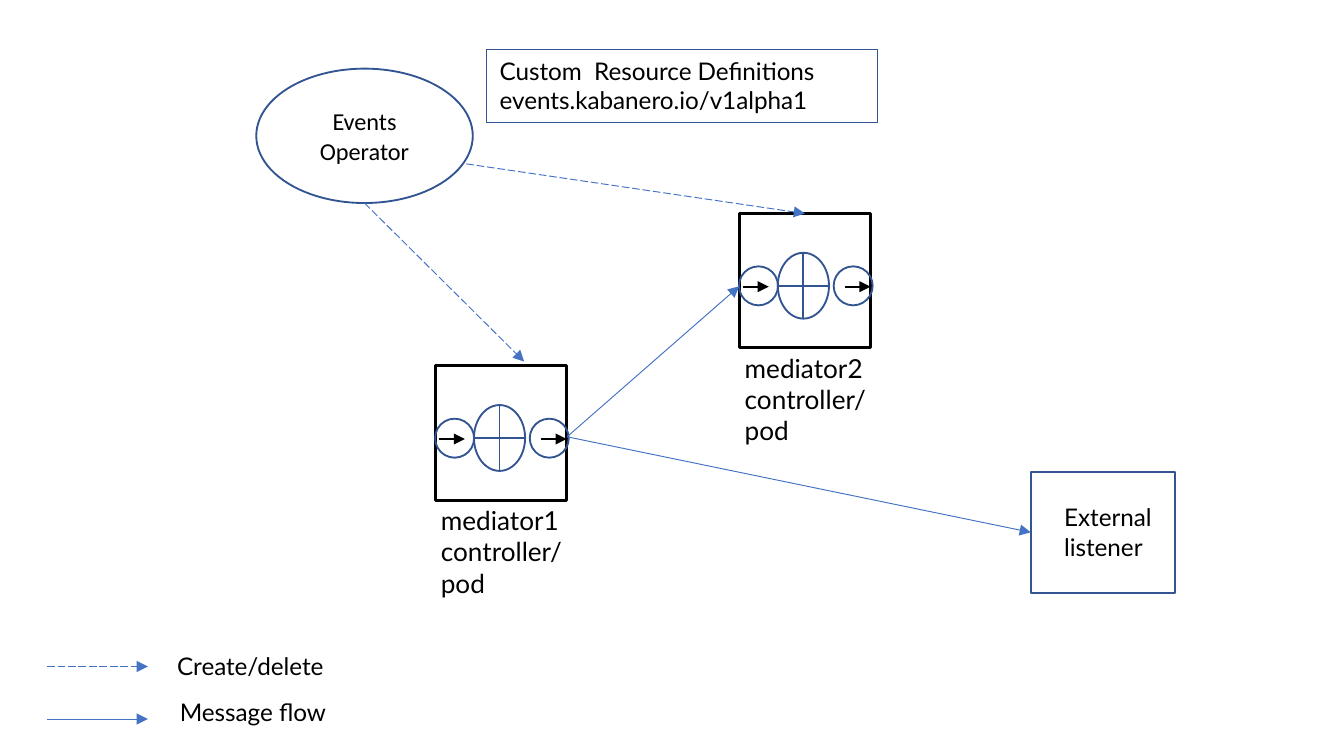
from pptx import Presentation
from pptx.dml.color import RGBColor
from pptx.enum.dml import MSO_LINE
from pptx.enum.shapes import MSO_CONNECTOR, MSO_SHAPE as SHAPE
from pptx.enum.text import MSO_ANCHOR as ANCHOR, PP_ALIGN as ALIGN
from pptx.oxml.ns import qn
from pptx.util import Pt
from lxml.etree import SubElement

COLORS = {"black": "000000", "white": "FFFFFF", "outline": "325491", "flow": "4472C4"}


def rgb(name):
    return RGBColor.from_string(COLORS[name])


def write(sp, text, size=13, font="Lato", align=ALIGN.LEFT, anchor=ANCHOR.TOP, wrap=True):
    tf = sp.text_frame
    tf.word_wrap = wrap
    tf.vertical_anchor = anchor
    for i, line in enumerate(text.split("\n")):
        p = tf.paragraphs[0] if i == 0 else tf.add_paragraph()
        p.alignment = align
        r = p.add_run()
        r.text = line
        r.font.size = Pt(size)
        r.font.name = font
        r.font.color.rgb = rgb("black")


def add_label(shapes, text, x, y, w, h, **fmt):
    write(shapes.add_textbox(Pt(x), Pt(y), Pt(w), Pt(h)), text, **fmt)


def add_outline(shapes, kind, x, y, w, h, line="outline", width=1, fill=None):
    sp = shapes.add_shape(kind, Pt(x), Pt(y), Pt(w), Pt(h))
    sp.shadow.inherit = False
    if fill:
        sp.fill.solid()
        sp.fill.fore_color.rgb = rgb(fill)
    else:
        sp.fill.background()
    sp.line.color.rgb = rgb(line)
    sp.line.width = Pt(width)
    return sp


def add_arrow(shapes, start, end, color="flow", width=0.5, dashed=False):
    c = shapes.add_connector(MSO_CONNECTOR.STRAIGHT, *map(Pt, start + end))
    c.line.color.rgb = rgb(color)
    c.line.width = Pt(width)
    if dashed:
        c.line.dash_style = MSO_LINE.LONG_DASH
    SubElement(c.line._get_or_add_ln(), qn("a:tailEnd"), type="triangle")
    SubElement(c._element.spPr, qn("a:effectLst"))


def add_mediator(slide, name, x, y, w, h):
    shapes = slide.shapes.add_group_shape().shapes
    add_outline(shapes, SHAPE.RECTANGLE, x, y, w, h, line="black", width=1.5, fill="white")
    add_outline(shapes, SHAPE.FLOWCHART_OR, x + 20.5, y + 21, 27.4, 35.3, fill="white")
    for port_x, arrow_x in ((-0.3, 2), (50.4, 56.5)):
        add_arrow(shapes, (x + arrow_x, y + 39.2), (x + arrow_x + 13.7, y + 39.2),
                  color="black", width=1)
        add_outline(shapes, SHAPE.OVAL, x + port_x, y + 28.3, 20.9, 20.9)
    add_label(shapes, f"{name}\ncontroller/pod", x - 4.3, y + h - 1.4, 84.2, 58.3, size=14)


def add_listener(slide, x, y, w, h):
    shapes = slide.shapes.add_group_shape().shapes
    add_outline(shapes, SHAPE.RECTANGLE, x, y, w, h)
    add_label(shapes, "External\nlistener", x + 10.8, y + 13, 63.4, 38.9, wrap=False)


def add_operator(slide, x, y, w, h):
    sp = add_outline(slide.shapes, SHAPE.OVAL, x, y, w, h)
    write(sp, "Events\nOperator", font="Calibri", align=ALIGN.CENTER, anchor=ANCHOR.MIDDLE)


def add_definitions(slide, x, y, w, h):
    sp = add_outline(slide.shapes, SHAPE.RECTANGLE, x, y, w, h, width=0.75)
    write(sp, "Custom  Resource Definitions\nevents.kabanero.io/v1alpha1")


def add_legend(slide, x, y, w, h):
    entries = (("Create/delete", 0, 62.6, -11.5, True), ("Message flow", h, 64.1, -15.1, False))
    for text, dy, label_x, label_y, dashed in entries:
        add_arrow(slide.shapes, (x, y + dy), (x + w, y + dy), dashed=dashed)
        add_label(slide.shapes, text, x + label_x, y + dy + label_y, 99, 23, wrap=False)


def main():
    prs = Presentation()
    prs.slide_width, prs.slide_height = Pt(720), Pt(405)
    slide = prs.slides.add_slide(prs.slide_layouts[6])

    add_mediator(slide, "mediator1", 233.4, 196, 70, 72)
    add_mediator(slide, "mediator2", 396.2, 114.4, 70, 72)
    add_listener(slide, 552.2, 252.8, 77.2, 65)
    output = (303.8, 234)
    add_arrow(slide.shapes, output, (396, 153.4))
    add_arrow(slide.shapes, output, (552.2, 285.2))

    add_operator(slide, 137.3, 36.8, 116, 72)
    add_arrow(slide.shapes, (195.3, 108.8), (280.8, 193.7), dashed=True)
    add_arrow(slide.shapes, (249.8, 87.8), (431.2, 114.4), dashed=True)
    add_legend(slide, 25.2, 357.1, 54, 28.1)
    add_definitions(slide, 260.6, 26.6, 209.4, 39)
    prs.save("out.pptx")


if __name__ == "__main__":
    main()
